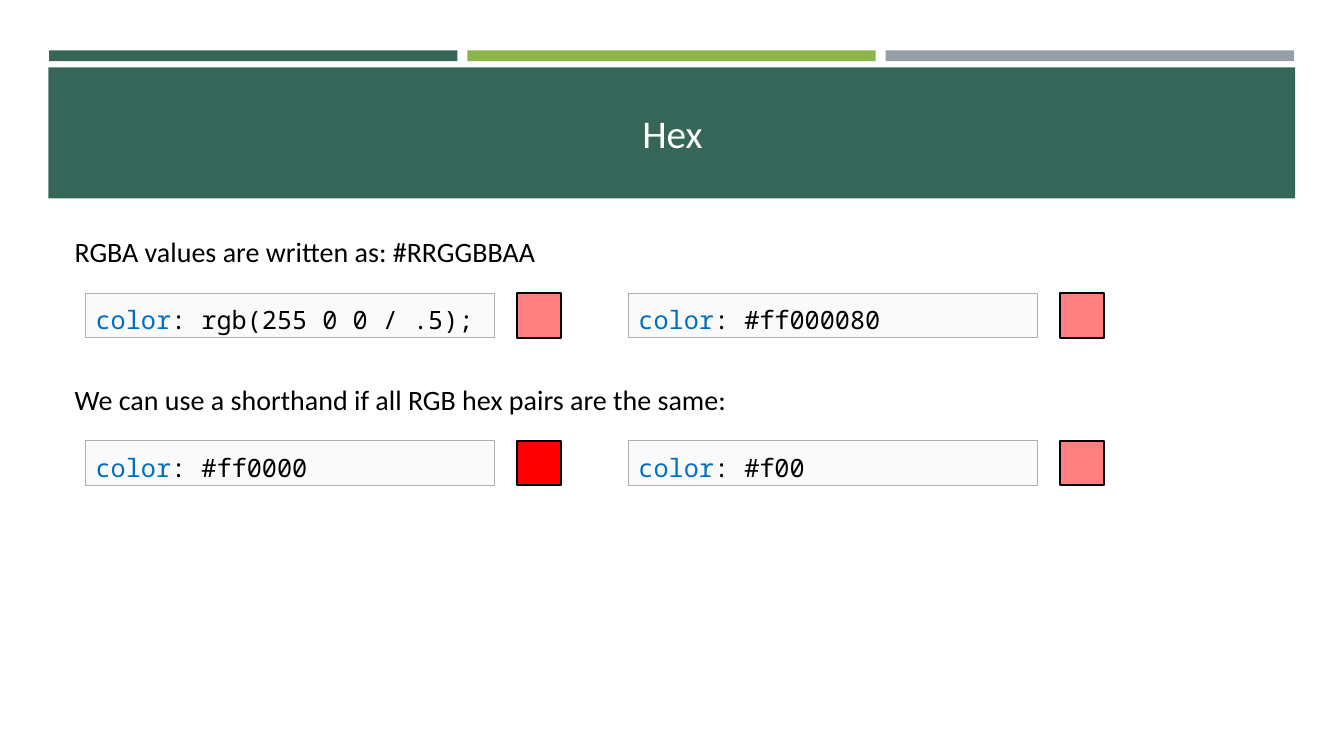
from dataclasses import dataclass

from lxml.etree import SubElement
from pptx import Presentation
from pptx.dml.color import RGBColor
from pptx.enum.shapes import MSO_SHAPE
from pptx.enum.text import MSO_ANCHOR, MSO_AUTO_SIZE, PP_ALIGN
from pptx.oxml.ns import qn
from pptx.shapes.autoshape import Shape
from pptx.slide import Slide
from pptx.util import Cm, Pt

GREEN = "366658"
BAR_COLOURS = (GREEN, "8CB64A", "969FA7")
BAR_LEFT, BAR_PITCH = 1.24, 10.54
TEXT_LEFT = 1.63
CODE_LEFT, COLUMN_PITCH = 2.16, 13.68
CAPTION_TOP, ROW_PITCH = 5.79, 3.72
CODE_DROP, SWATCH_SHIFT = 1.6, 10.87
CODE_WIDTH, CODE_HEIGHT = 10.31, 1.12


@dataclass(frozen=True)
class Sample:
    value: str
    opacity: int = 100


@dataclass(frozen=True)
class Example:
    caption: str
    caption_width: float
    samples: tuple[Sample, ...]


EXAMPLES = (
    Example("RGBA values are written as: #RRGGBBAA", 12.27,
            (Sample("rgb(255 0 0 / .5);", 50), Sample("#ff000080", 50))),
    Example("We can use a shorthand if all RGB hex pairs are the same:", 17.09,
            (Sample("#ff0000"), Sample("#f00", 50))),
)


def colour(value: str) -> RGBColor:
    return RGBColor.from_string(value)


def add_rectangle(page: Slide, left: float, top: float, width: float, height: float,
                  fill: str, line: str = "", line_width: float = 0) -> Shape:
    box = page.shapes.add_shape(MSO_SHAPE.RECTANGLE, Cm(left), Cm(top), Cm(width), Cm(height))
    box.shadow.inherit = False
    box.fill.solid()
    box.fill.fore_color.rgb = colour(fill)
    if line:
        box.line.color.rgb = colour(line)
        box.line.width = Pt(line_width)
    else:
        box.line.fill.background()
    return box


def format_span(span, font_name: str, size: float, fill: str) -> None:
    span.font.name = font_name
    span.font.size = Pt(size)
    span.font.color.rgb = colour(fill)


def add_header(page: Slide) -> None:
    for index, fill in enumerate(BAR_COLOURS):
        add_rectangle(page, BAR_LEFT + index * BAR_PITCH, 1.27, 10.29, 0.27, fill)
    add_rectangle(page, 1.22, 1.7, 31.42, 3.3, GREEN)
    title = page.shapes.title
    title.element.getparent().append(title.element)
    title.left, title.top, title.width, title.height = Cm(TEXT_LEFT), Cm(2.59), Cm(30.63), Cm(1.47)
    frame = title.text_frame
    frame.text = "Hex"
    frame.auto_size = MSO_AUTO_SIZE.NONE
    frame.vertical_anchor = MSO_ANCHOR.BOTTOM
    para = frame.paragraphs[0]
    para.alignment = PP_ALIGN.CENTER
    format_span(para.runs[0], "Calibri", 28, "FFFFFF")


def add_caption(page: Slide, example: Example, top: float) -> None:
    box = page.shapes.add_textbox(Cm(TEXT_LEFT), Cm(top), Cm(example.caption_width), Cm(1.12))
    frame = box.text_frame
    frame.text = example.caption
    frame.word_wrap = False
    frame.auto_size = MSO_AUTO_SIZE.SHAPE_TO_FIT_TEXT
    format_span(frame.paragraphs[0].runs[0], "Calibri", 20, "000000")


def add_code(page: Slide, sample: Sample, left: float, top: float) -> None:
    box = add_rectangle(page, left, top, CODE_WIDTH, CODE_HEIGHT, "FAFAFA", "AFAFAF", 0.75)
    frame = box.text_frame
    frame.word_wrap = True
    frame.auto_size = MSO_AUTO_SIZE.SHAPE_TO_FIT_TEXT
    frame.vertical_anchor = MSO_ANCHOR.TOP
    para = frame.paragraphs[0]
    para.alignment = PP_ALIGN.LEFT
    para.line_spacing = 1.2
    for text, fill in (("color", "0070C0"), (f": {sample.value}", "000000")):
        span = para.add_run()
        span.text = text
        format_span(span, "Noto Sans Mono", 18, fill)


def add_swatch(page: Slide, sample: Sample, left: float, top: float) -> None:
    swatch = add_rectangle(page, left, top, CODE_HEIGHT, CODE_HEIGHT, "FF0000", "000000", 1.5)
    if sample.opacity < 100:
        fill = swatch.element.spPr.find(qn("a:solidFill"))
        SubElement(fill[0], qn("a:alpha")).set("val", str(sample.opacity * 1000))


def main() -> None:
    deck = Presentation()
    deck.slide_width, deck.slide_height = Cm(33.87), Cm(19.05)
    page = deck.slides.add_slide(deck.slide_layouts[5])
    add_header(page)
    for row, example in enumerate(EXAMPLES):
        caption_top = CAPTION_TOP + row * ROW_PITCH
        add_caption(page, example, caption_top)
        for column, sample in enumerate(example.samples):
            left = CODE_LEFT + column * COLUMN_PITCH
            add_code(page, sample, left, caption_top + CODE_DROP)
            add_swatch(page, sample, left + SWATCH_SHIFT, caption_top + CODE_DROP)
    deck.save("out.pptx")


if __name__ == "__main__":
    main()
